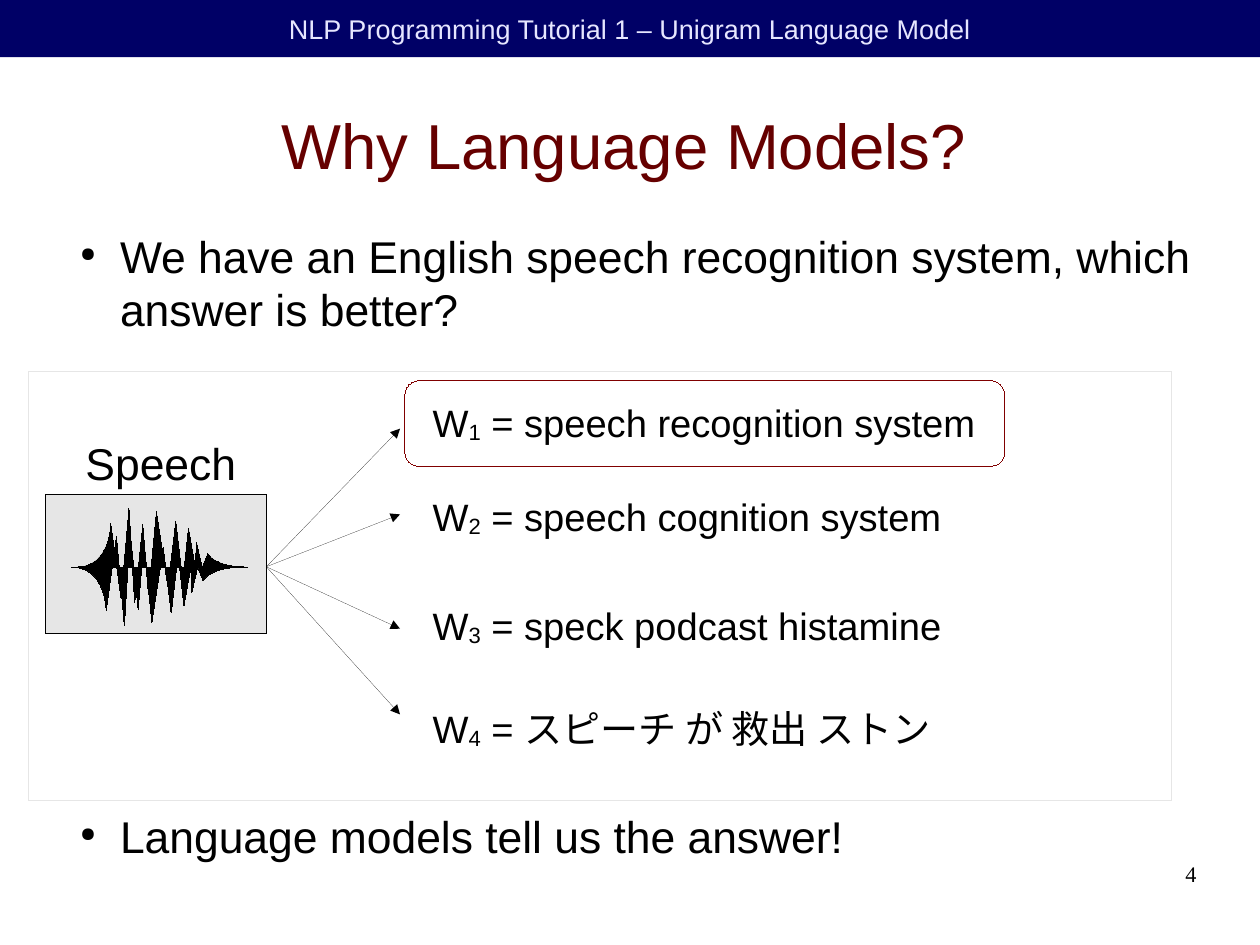
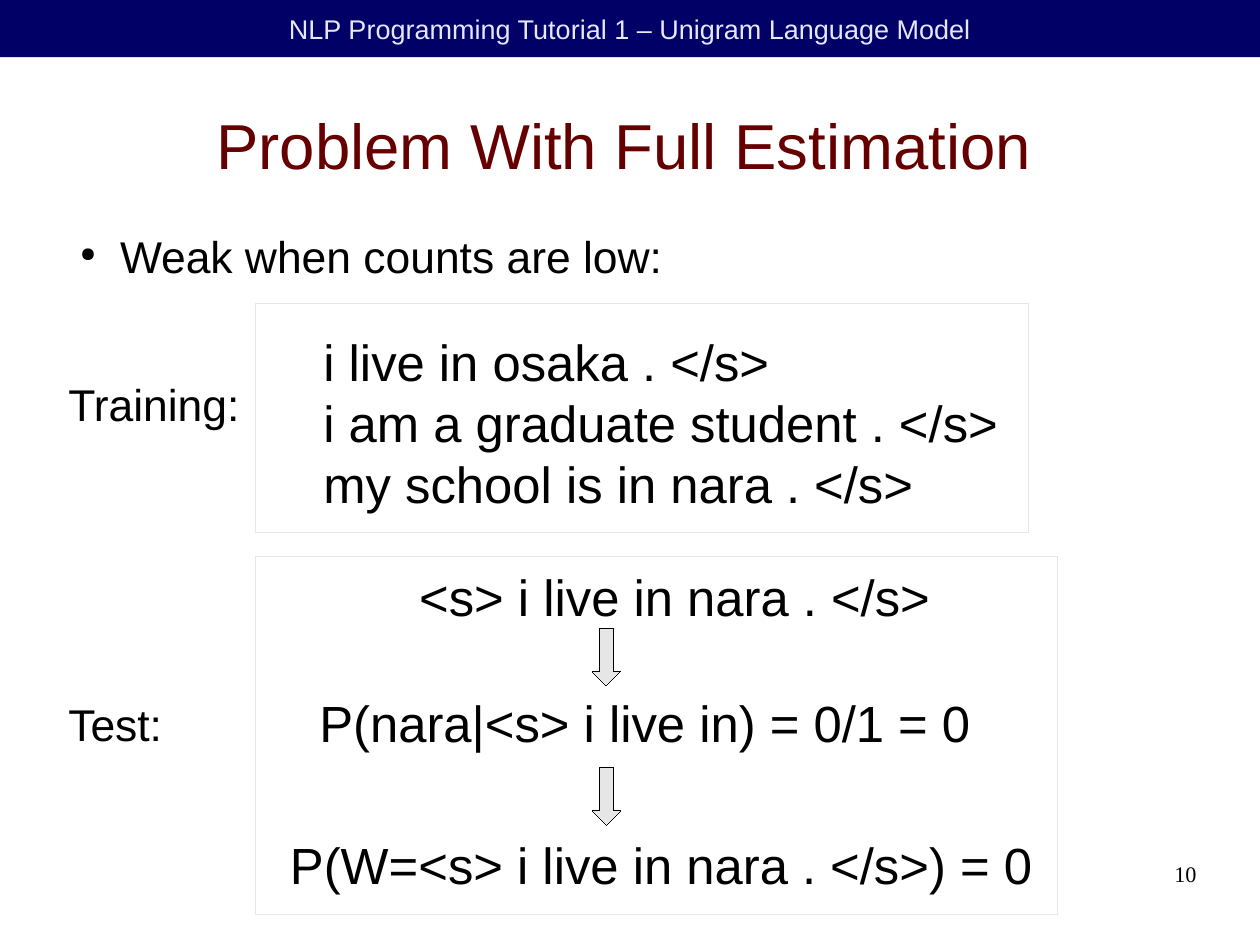
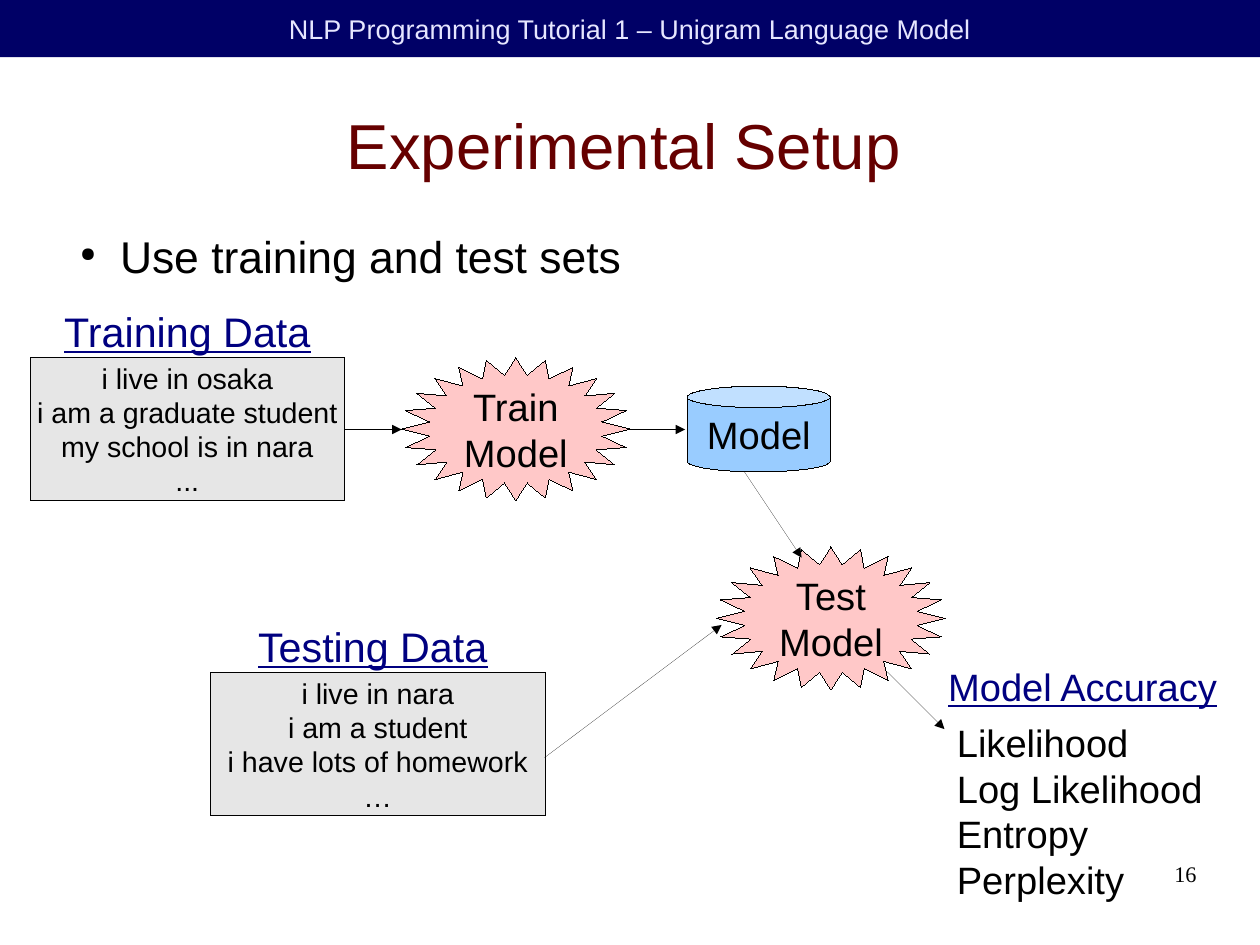
from dataclasses import dataclass

from pptx import Presentation
from pptx.dml.color import RGBColor
from pptx.enum.shapes import MSO_CONNECTOR, MSO_SHAPE
from pptx.enum.text import MSO_ANCHOR, PP_ALIGN
from pptx.oxml.ns import qn
from pptx.util import Pt
from lxml.etree import SubElement


@dataclass(frozen=True)
class Theme:
    font: str = "Arial"
    number_font: str = "Times New Roman"
    band: str = "000066"
    band_text: str = "E6E6FF"
    title: str = "660000"
    ink: str = "000000"
    heading: str = "000080"
    highlight: str = "800000"
    gray: str = "E6E6E6"
    star: str = "FFC8C8"
    store: str = "99CCFF"
    title_size: float = 40
    example_size: float = 32
    body_size: float = 28
    heading_size: float = 26
    diagram_size: float = 24
    data_size: float = 18
    band_size: float = 17
    number_size: float = 14


@dataclass(frozen=True)
class Box:
    """A rectangle in points."""
    left: float
    top: float
    width: float
    height: float

    def inner(self, left, top, width, height):
        return Box(self.left + left, self.top + top, width, height)

    def point(self, x, y):
        return self.left + x, self.top + y

    def lengths(self):
        return [Pt(v) for v in (self.left, self.top, self.width, self.height)]


THEME = Theme()
PAGE = Box(0, 0, 793.75, 595.25)
COURSE = "NLP Programming Tutorial 1 – Unigram Language Model"


# Basic parts

def format_run(run, size, color=THEME.ink, font=THEME.font):
    run.font.name = font
    run.font.size = Pt(size)
    run.font.color.rgb = RGBColor.from_string(color)


def write(frame, text, size, color=THEME.ink, align=PP_ALIGN.LEFT,
          anchor=MSO_ANCHOR.TOP, inset=(0, 0), underline=False, font=THEME.font):
    frame.word_wrap = True
    frame.vertical_anchor = anchor
    frame.margin_left = frame.margin_right = Pt(inset[0])
    frame.margin_top = frame.margin_bottom = Pt(inset[1])
    frame.text = text
    for paragraph in frame.paragraphs:
        paragraph.alignment = align
        for run in paragraph.runs:
            format_run(run, size, color, font)
            if underline:
                run.font.underline = True


def add_text(slide, box, text, size, **style):
    shape = slide.shapes.add_textbox(*box.lengths())
    write(shape.text_frame, text, size, **style)
    return shape


def add_label(slide, position, text, size, width=230, **style):
    box = Box(*position, width, size * 1.2 + 7.2)
    return add_text(slide, box, text, size, inset=(7.2, 3.6), **style)


def set_hairline(shape, color):
    """Draw the thinnest line and return its XML element."""
    shape.line.color.rgb = RGBColor.from_string(color)
    line = shape._element.spPr.find(qn("a:ln"))
    line.set("w", "0")
    return line


def paint(shape, fill=None, line=None):
    shape.shadow.inherit = False
    if fill:
        shape.fill.solid()
        shape.fill.fore_color.rgb = RGBColor.from_string(fill)
    else:
        shape.fill.background()
    if line:
        set_hairline(shape, line)
    else:
        shape.line.fill.background()


def add_figure(slide, kind, box, fill=None, line=THEME.ink, text=None,
               size=THEME.diagram_size, adjust=None):
    shape = slide.shapes.add_shape(kind, *box.lengths())
    paint(shape, fill, line)
    if adjust is not None:
        shape.adjustments[0] = adjust
    if text:
        write(shape.text_frame, text, size, align=PP_ALIGN.CENTER,
              anchor=MSO_ANCHOR.MIDDLE)
    return shape


def add_arrow(slide, start, end):
    connector = slide.shapes.add_connector(
        MSO_CONNECTOR.STRAIGHT, *[Pt(v) for v in (*start, *end)])
    line = set_hairline(connector, THEME.ink)
    SubElement(line, qn("a:tailEnd"), type="triangle")
    SubElement(connector._element.spPr, qn("a:effectLst"))


# Shared page furniture

def add_bullet(slide, top, text):
    shape = add_text(slide, Box(41.76, top, 714.24, 32), text, THEME.body_size)
    properties = shape.text_frame.paragraphs[0]._p.get_or_add_pPr()
    properties.set("marL", str(Pt(33.84)))
    properties.set("indent", str(Pt(-25.2)))
    color = SubElement(properties, qn("a:buClr"))
    SubElement(color, qn("a:srgbClr"), val=THEME.ink)
    SubElement(properties, qn("a:buSzPct"), val="45000")
    SubElement(properties, qn("a:buChar"), char="●")


def add_page(presentation, title, number, bullet):
    slide = presentation.slides.add_slide(presentation.slide_layouts[6])
    band = add_figure(slide, MSO_SHAPE.RECTANGLE, Box(0, 0, PAGE.width, 36),
                      THEME.band, line=None)
    write(band.text_frame, COURSE, THEME.band_size, THEME.band_text,
          PP_ALIGN.CENTER, MSO_ANCHOR.MIDDLE, (7.2, 3.6))
    add_text(slide, Box(35.75, 45, 714.24, 91.44), title, THEME.title_size,
             color=THEME.title, align=PP_ALIGN.CENTER, anchor=MSO_ANCHOR.MIDDLE)
    add_bullet(slide, 144, bullet)
    add_text(slide, Box(568.8, 542.16, 185.04, 41), str(number),
             THEME.number_size, align=PP_ALIGN.RIGHT, font=THEME.number_font)
    return slide


# Speech recognition slide

def curve(start, first, second, end, steps=12):
    """Points on a cubic curve, without its start."""
    points = []
    for step in range(1, steps + 1):
        t = step / steps
        weights = ((1 - t) ** 3, 3 * t * (1 - t) ** 2, 3 * t * t * (1 - t), t ** 3)
        points.append(tuple(
            sum(w * p[axis] for w, p in zip(weights, (start, first, second, end)))
            for axis in (0, 1)))
    return points


PEAKS = [(28.1, 19.4), (33.1, -36.7), (36.7, 22.3), (41.8, -26.6),
         (45.4, 17.3), (50.4, -34.9), (57.6, 12.2), (62.6, -28.8), (67, 8.6),
         (70.6, -24.5), (74.9, 0), (75.6, -15.8), (79.2, 0), (82.8, -8.6)]
WAVE = (curve((0, 0), (21.6, 0), (21.6, -27.4), (21.6, -27.4)) + PEAKS
        + curve((82.8, -8.6), (82.8, -8.6), (86.4, 0), (108, 0)))


def add_waveform(slide, box):
    add_figure(slide, MSO_SHAPE.RECTANGLE, box, THEME.gray)
    # The second half is the first one mirrored about the baseline
    for left, direction in ((19.4, 1), (16.5, -1)):
        x, y = box.point(left, 46)
        builder = slide.shapes.build_freeform(Pt(x), Pt(y))
        builder.add_line_segments(
            [(Pt(x + dx), Pt(y + direction * dy)) for dx, dy in WAVE], close=True)
        paint(builder.convert_to_shape(), THEME.ink, THEME.ink)


def add_hypothesis(slide, position, index, words):
    shape = add_label(slide, position, "", THEME.diagram_size, width=400)
    paragraph = shape.text_frame.paragraphs[0]
    for text in ("W", str(index), f" = {words}"):
        run = paragraph.add_run()
        run.text = text
        format_run(run, THEME.diagram_size)
    paragraph.runs[1]._r.get_or_add_rPr().set("baseline", "-8000")


def add_recognition(slide, box):
    add_figure(slide, MSO_SHAPE.RECTANGLE, box, line=THEME.gray)
    add_label(slide, box.point(28.8, 37), "Speech", THEME.body_size)
    add_waveform(slide, box.inner(10.8, 77.25, 139, 88))
    add_figure(slide, MSO_SHAPE.ROUNDED_RECTANGLE, box.inner(237, 5.75, 378, 54),
               line=THEME.highlight, adjust=0.167)
    # Arrow end, text top and words of each hypothesis
    hypotheses = [(36, 14, "speech recognition system"),
                  (90, 73.4, "speech cognition system"),
                  (162, 141.8, "speck podcast histamine"),
                  (216, 206.6, "スピーチ が 救出 ストン")]
    for index, (arrow_end, top, words) in enumerate(hypotheses, 1):
        add_arrow(slide, box.point(149.8, 123), box.point(234, arrow_end))
        add_hypothesis(slide, box.point(247.4, top), index, words)


# Estimation slide

def add_labelled_panel(slide, box, label, label_top):
    add_figure(slide, MSO_SHAPE.RECTANGLE, box, line=THEME.gray)
    add_label(slide, box.point(-125, label_top), label, THEME.body_size, width=150)


def add_training(slide, box):
    add_labelled_panel(slide, box, "Training:", 42.5)
    text = ("i live in osaka . </s>\ni am a graduate student . </s>\n"
            "my school is in nara . </s>")
    add_label(slide, box.point(35.6, 13.4), text, THEME.example_size, width=480)


def add_test(slide, box):
    add_labelled_panel(slide, box, "Test:", 85)
    for left, top, text in ((96, 2.2, "<s> i live in nara . </s>"),
                            (33.1, 81.4, "P(nara|<s> i live in) = 0/1 = 0"),
                            (14.6, 171.4, "P(W=<s> i live in nara . </s>) = 0")):
        add_label(slide, box.point(left, top), text, THEME.example_size, width=520)
    for top in (45.4, 133.2):
        add_figure(slide, MSO_SHAPE.DOWN_ARROW, box.inner(212, top, 18, 36),
                   THEME.gray)


# Experiment slide

def add_data_set(slide, box, heading, heading_left, text):
    add_label(slide, box.point(heading_left, -36), heading, THEME.heading_size,
              color=THEME.heading, underline=True)
    add_figure(slide, MSO_SHAPE.RECTANGLE, box, THEME.gray, text=text,
               size=THEME.data_size)


def add_experiment(slide, box):
    add_data_set(slide, box.inner(0, 36, 198, 90), "Training Data", 14.4,
                 "i live in osaka\ni am a graduate student\nmy school is in nara\n...")
    add_data_set(slide, box.inner(113.5, 234.5, 211, 90), "Testing Data", 23,
                 "i live in nara\ni am a student\ni have lots of homework\n…")

    # Processes and the model store
    for left, top, text in ((234, 36, "Train\nModel"), (432.5, 155.25, "Test\nModel")):
        add_figure(slide, MSO_SHAPE.STAR_24_POINT, box.inner(left, top, 144, 90),
                   THEME.star, text=text, adjust=0.38)
    add_figure(slide, MSO_SHAPE.CAN, box.inner(414, 54, 90, 54), THEME.store,
               text="Model", adjust=0.25)

    # Flow
    for start, end in (((198, 81.3), (234, 81.3)), ((376.6, 81.3), (412.6, 81.3)),
                       ((450, 108), (486, 162)), ((324, 288), (435.6, 204.4)),
                       ((540, 234), (576, 270))):
        add_arrow(slide, box.point(*start), box.point(*end))

    # Measures
    add_label(slide, box.point(571.2, 225.3), "Model Accuracy", THEME.diagram_size,
              width=200, color=THEME.heading, underline=True)
    add_label(slide, box.point(576.7, 260.3),
              "Likelihood\nLog Likelihood\nEntropy\nPerplexity",
              THEME.diagram_size, width=190)


def main():
    presentation = Presentation()
    presentation.slide_width = Pt(PAGE.width)
    presentation.slide_height = Pt(PAGE.height)

    slide = add_page(presentation, "Why Language Models?", 4,
                     "We have an English speech recognition system, "
                     "which answer is better?")
    add_recognition(slide, Box(18, 234, 720, 270))
    add_bullet(slide, 509.5, "Language models tell us the answer!")

    slide = add_page(presentation, "Problem With Full Estimation", 10,
                     "Weak when counts are low:")
    add_training(slide, Box(161, 191.5, 486.75, 144))
    add_test(slide, Box(161, 350.5, 505, 225.4))

    slide = add_page(presentation, "Experimental Setup", 16,
                     "Use training and test sets")
    add_experiment(slide, Box(19, 189.25, 755, 380))

    presentation.save("out.pptx")


if __name__ == "__main__":
    main()
